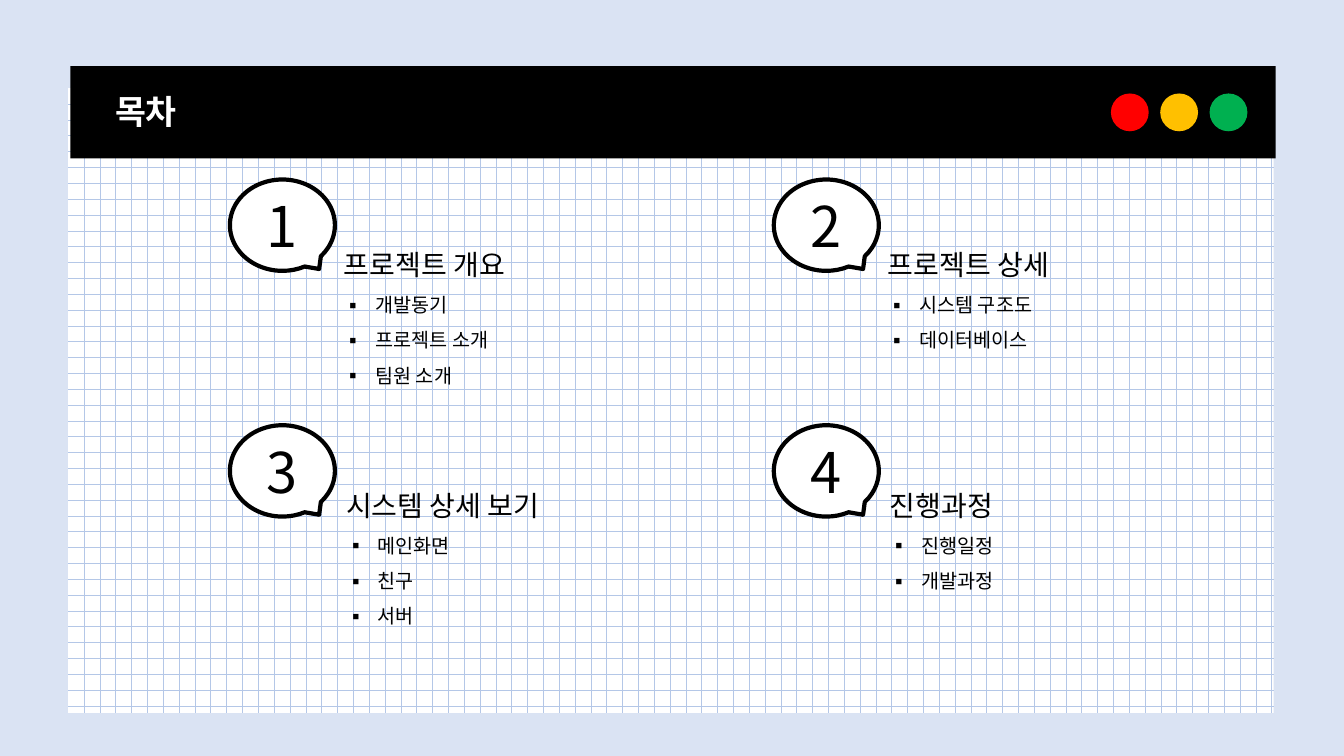
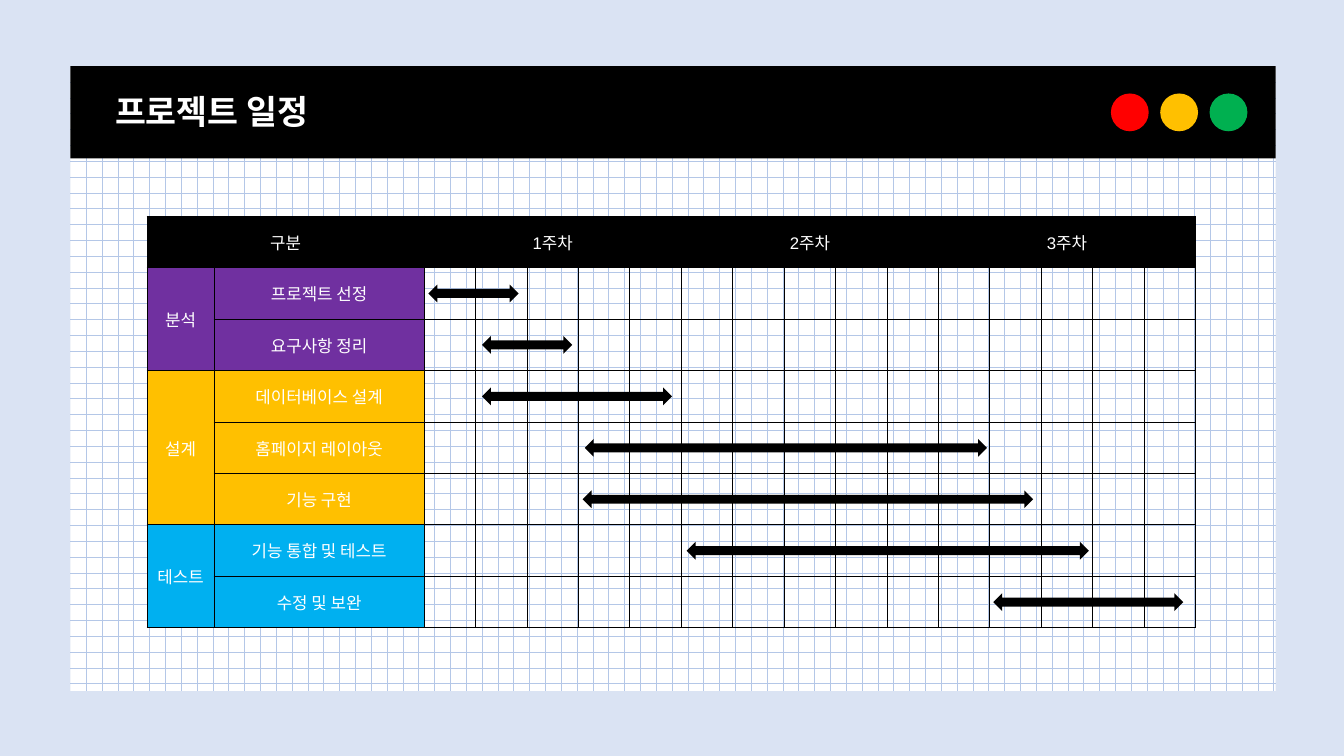
from lxml.etree import SubElement
from pptx import Presentation
from pptx.dml.color import RGBColor
from pptx.enum.dml import MSO_PATTERN_TYPE as Pattern
from pptx.enum.shapes import MSO_SHAPE as Shape
from pptx.enum.text import MSO_ANCHOR as Anchor, MSO_AUTO_SIZE as AutoSize, PP_ALIGN as Align
from pptx.oxml.ns import qn
from pptx.util import Pt

PX = 9525
COMPARISON, TITLE_ONLY = 4, 5
BLACK, WHITE = "000000", "FFFFFF"
RED, AMBER, GREEN = "FF0000", "FFC000", "00B050"
PURPLE, SKY = "7030A0", "00B0F0"
BACKGROUND, GRID = "DAE3F3", "B4C7E7"
FONT, TABLE_FONT = "Noto Sans CJK KR", "Arial"
PANEL_WIDTH, PANEL_HEIGHT = 1148, 595


def px(*lengths):
    return [length * PX for length in lengths]


def rgb(color):
    return RGBColor.from_string(color)


def add_xml(parent, tag, **attributes):
    return SubElement(parent, qn(tag), attributes)


def add_xml_color(parent, color):
    return add_xml(parent, "a:srgbClr", val=color)


class Deck:
    def __init__(self):
        self.presentation = Presentation()
        self.presentation.slide_width, self.presentation.slide_height = px(1280, 720)
        self.slide = None

    def add_slide(self, layout, title, panel_left, panel_top):
        layouts = self.presentation.slide_layouts
        self.slide = self.presentation.slides.add_slide(layouts[layout])
        background = self.slide.background.fill
        background.solid()
        background.fore_color.rgb = rgb(BACKGROUND)
        self.panel(panel_left, panel_top)
        self.shape(Shape.RECTANGLE, 67, 63, PANEL_WIDTH, 88, BLACK)
        for index, color in enumerate((RED, AMBER, GREEN)):
            light = self.shape(Shape.OVAL, 1058 + 47 * index, 89, 36, 36, color)
            self.cast_shadow(light)
        self.title(title)

    def shape(self, kind, left, top, width, height, color):
        shape = self.slide.shapes.add_shape(kind, *px(left, top, width, height))
        shape.shadow.inherit = False
        shape.fill.solid()
        shape.fill.fore_color.rgb = rgb(color)
        shape.line.fill.background()
        return shape

    def panel(self, left, top):
        panel = self.shape(Shape.RECTANGLE, left, top, PANEL_WIDTH, PANEL_HEIGHT, WHITE)
        panel.fill.patterned()
        panel.fill.pattern = Pattern.DOTTED_GRID
        panel.fill.fore_color.rgb = rgb(GRID)
        panel.fill.back_color.rgb = rgb(WHITE)

    def cast_shadow(self, shape):
        effects = shape._element.spPr.find(qn("a:effectLst"))
        shadow = add_xml(effects, "a:outerShdw", blurRad=str(Pt(2)), dist=str(Pt(1)),
                         dir="2700000", algn="tl", rotWithShape="0")
        add_xml(add_xml_color(shadow, BLACK), "a:alpha", val="40000")

    def format(self, paragraph, size, color=BLACK, bold=False, align=Align.LEFT, name=FONT):
        paragraph.alignment = align
        font = paragraph.font
        font.size, font.bold, font.name = Pt(size), bold, name
        font.color.rgb = rgb(color)
        add_xml(font._element, "a:ea", typeface=FONT)

    def place(self, placeholder, left, top, width, height, anchor):
        self.slide.shapes._spTree.append(placeholder._element)
        placeholder.left, placeholder.top, placeholder.width, placeholder.height = px(
            left, top, width, height)
        frame = placeholder.text_frame
        frame.auto_size = AutoSize.NONE
        frame.word_wrap = True
        frame.vertical_anchor = anchor
        return frame

    def title(self, text):
        frame = self.place(self.slide.shapes.title, 100, 82, 800, 48, Anchor.MIDDLE)
        frame.text = text
        self.format(frame.paragraphs[0], 24, WHITE, bold=True)

    def section(self, number, left, top, heading, items):
        placeholder = self.slide.placeholders[number]
        frame = self.place(placeholder, left, top, 264, 155, Anchor.TOP)
        frame.text = "\n".join((heading, *items))
        for index, paragraph in enumerate(frame.paragraphs):
            paragraph.line_spacing = 1.5
            paragraph.space_before = Pt(0)
            properties = paragraph._p.get_or_add_pPr()
            indent = 30 * PX if index else 0
            properties.set("marL", str(indent))
            properties.set("indent", str(-indent))
            if index:
                add_xml(properties, "a:buFont", typeface=FONT)
                add_xml(properties, "a:buChar", char="▪")
            else:
                add_xml(properties, "a:buNone")
            self.format(paragraph, 14 if index else 20)

    def callout(self, left, top, text):
        callout = self.shape(Shape.OVAL_CALLOUT, left, top, 100, 87, WHITE)
        callout.adjustments[0], callout.adjustments[1] = 0.35, 0.48
        callout.line.color.rgb = rgb(BLACK)
        callout.line.width = Pt(3)
        frame = callout.text_frame
        frame.text = text
        frame.vertical_anchor = Anchor.MIDDLE
        self.format(frame.paragraphs[0], 40, align=Align.CENTER)

    def table(self, left, top, widths, row_height, row_count):
        size = px(left, top, sum(widths), row_height * row_count)
        table = self.slide.shapes.add_table(row_count, len(widths), *size).table
        table.first_row = table.horz_banding = False
        for column, width in zip(table.columns, widths):
            column.width = width * PX
        for cell in table.iter_cells():
            self.border(cell)
            cell.fill.background()
            cell.margin_left = cell.margin_right = 4 * PX
            self.format(cell.text_frame.paragraphs[0], 12, WHITE,
                        align=Align.CENTER, name=TABLE_FONT)
        return table

    def border(self, cell):
        properties = cell._tc.get_or_add_tcPr()
        for side in ("a:lnL", "a:lnR", "a:lnT", "a:lnB"):
            line = add_xml(properties, side, w=str(Pt(0.75)))
            add_xml_color(add_xml(line, "a:solidFill"), BLACK)

    def fill_cells(self, table, row, column, text, color, rows=1, columns=1):
        cell = table.cell(row, column)
        if rows * columns > 1:
            cell.merge(table.cell(row + rows - 1, column + columns - 1))
        cell.vertical_anchor = Anchor.MIDDLE
        cell.text_frame.paragraphs[0].add_run().text = text
        cell.fill.solid()
        cell.fill.fore_color.rgb = rgb(color)


def build_contents(deck):
    deck.add_slide(COMPARISON, "목차", 65, 84)
    sections = (
        ("프로젝트 개요", ("개발동기", "프로젝트 소개", "팀원 소개")),
        ("프로젝트 상세", ("시스템 구조도", "데이터베이스")),
        ("시스템 상세 보기", ("메인화면", "친구", "서버")),
        ("진행과정", ("진행일정", "개발과정")),
    )
    list_offsets = ((99, 44), (101, 39))
    for index, (heading, items) in enumerate(sections):
        row, column = divmod(index, 2)
        left, top = 219 + 518 * column, 171 + 234 * row
        offset_x, offset_y = list_offsets[row]
        deck.section(index + 1, left + offset_x, top + offset_y, heading, items)
        deck.callout(left, top, str(index + 1))


def build_schedule(deck):
    deck.add_slide(TITLE_ONLY, "프로젝트 일정", 67, 63)
    phases = (
        ("분석", PURPLE, (("프로젝트 선정", 408, 86), ("요구사항 정리", 459, 86))),
        ("설계", AMBER, (("데이터베이스 설계", 459, 181), ("홈페이지 레이아웃", 557, 383),
                       ("기능 구현", 555, 429))),
        ("테스트", SKY, (("기능 통합 및 테스트", 654, 383), ("수정 및 보완", 946, 181))),
    )
    weeks, days = 3, 5
    top, row_height, arrow_height = 206, 49, 17
    widths = [64, 200] + [49] * (weeks * days)
    row_count = 1 + sum(len(tasks) for _, _, tasks in phases)
    table = deck.table(140, top, widths, row_height, row_count)
    deck.fill_cells(table, 0, 0, "구분", BLACK, columns=2)
    for week in range(weeks):
        deck.fill_cells(table, 0, 2 + days * week, f"{week + 1}주차", BLACK, columns=days)
    row = 1
    for phase, color, tasks in phases:
        deck.fill_cells(table, row, 0, phase, color, rows=len(tasks))
        for task, left, width in tasks:
            deck.fill_cells(table, row, 1, task, color)
            arrow_top = top + row_height * row + (row_height - arrow_height) // 2
            deck.shape(Shape.LEFT_RIGHT_ARROW, left, arrow_top, width, arrow_height, BLACK)
            row += 1


def main():
    deck = Deck()
    build_contents(deck)
    build_schedule(deck)
    deck.presentation.save("out.pptx")


if __name__ == "__main__":
    main()
